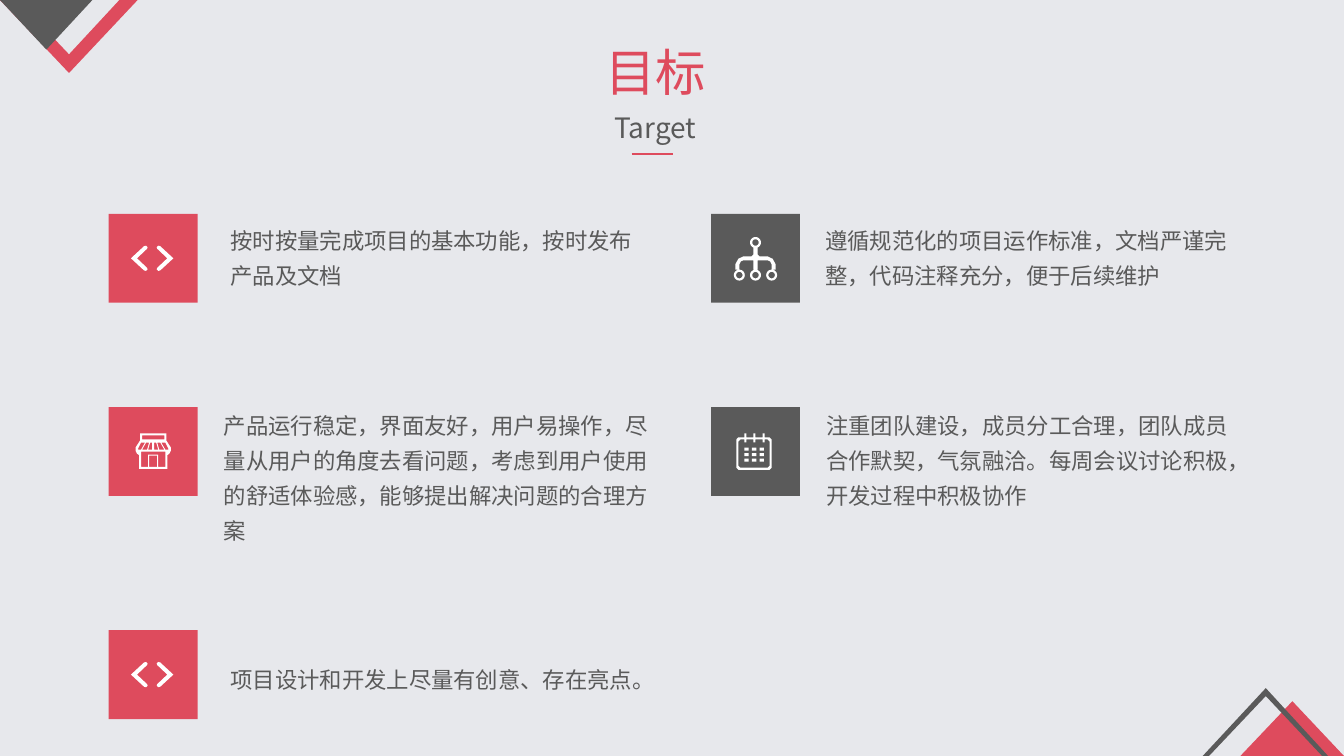
from math import cos, pi, sin

from lxml.etree import SubElement
from pptx import Presentation
from pptx.dml.color import RGBColor
from pptx.enum.shapes import MSO_CONNECTOR, MSO_SHAPE
from pptx.enum.text import MSO_ANCHOR, MSO_AUTO_SIZE, PP_ALIGN
from pptx.oxml.ns import qn
from pptx.util import Cm, Pt

FONT = "Noto Sans CJK SC"
COLORS = {"red": "DE4B5D", "gray": "5A5A5A", "white": "FFFFFF", "paper": "E7E8EC"}

TITLE, SUBTITLE = "目标", "Target"

# Tile left, top and colour, icon, then text left, top, width and height (cm)
GOALS = [
    ((2.74, 5.39), "red", "code", (5.56, 5.39, 11.07, 1.96),
     "按时按量完成项目的基本功能，按时发布产品及文档"),
    ((17.92, 5.39), "gray", "team", (20.55, 5.39, 10.87, 1.96),
     "遵循规范化的项目运作标准，文档严谨完整，代码注释充分，便于后续维护"),
    ((2.74, 10.26), "red", "shop", (5.39, 10.07, 11.23, 3.73),
     "产品运行稳定，界面友好，用户易操作，尽量从用户的角度去看问题，"
     "考虑到用户使用的舒适体验感，能够提出解决问题的合理方案"),
    ((17.92, 10.26), "gray", "calendar", (20.57, 10.07, 10.87, 2.84),
     "注重团队建设，成员分工合理，团队成员合作默契，气氛融洽。"
     "每周会议讨论积极，开发过程中积极协作"),
    ((2.74, 15.88), "red", "code", (5.56, 16.46, 11.07, 1.07),
     "项目设计和开发上尽量有创意、存在亮点。"),
]

# Corner outlines (cm)
CORNERS = [
    ("red", [(1.74, 1.84), (3.47, 0), (3.01, 0), (1.74, 1.37), (0.44, 0), (0, 0)]),
    ("gray", [(1.17, 1.25), (2.33, 0), (0, 0)]),
    ("red", [(32.57, 17.67), (31.26, 19.05), (33.87, 19.05)]),
    ("gray", [(33.47, 19.05), (33.32, 19.05), (31.9, 17.54), (30.47, 19.05),
              (30.31, 19.05), (31.9, 17.34)]),
]

# Icons are drawn on a tile of 88 by 88 units.
TILE = 2.24
UNIT = TILE / 88


def mirror(points, axis=44):
    return [(2 * axis - x, y) for x, y in reversed(points)]


def box(left, top, right, bottom):
    return [(left, top), (right, top), (right, bottom), (left, bottom)]


def circle(x, y, radius, steps=24):
    angles = [2 * pi * step / steps for step in range(steps)]
    return [(x + radius * cos(angle), y + radius * sin(angle)) for angle in angles]


def calendar_edge(left, top, right, bottom, tab_top, tab_bottom):
    """Frame edge whose top side steps out to one level at each of three tabs."""
    tabs = [point for x in (34, 43, 52)
            for point in [(x - 1, top), (x - 1, tab_top), (x + 1, tab_top), (x + 1, top)]]
    if tab_bottom:
        tabs = [(x, tab_bottom if y == tab_top else y) for x, y in tabs]
    return [(left, top + 2), (left + 2, top), *tabs, (right - 2, top), (right, top + 2),
            (right, bottom - 2), (right - 2, bottom), (left + 2, bottom), (left, bottom - 2)]


CHEVRON = [(35, 32), (22, 44), (35, 56), (37, 56.5), (38.5, 55), (38, 53.5),
           (28, 44), (38, 34.5), (38.5, 33), (37, 31.5)]
BRANCH = [(46, 33.5), (46, 40), (48, 42), (56, 42), (61, 44.5), (64, 50), (64, 55.3),
          (60, 55.3), (60, 50), (58.5, 47), (56, 46), (46, 46), (46, 55.3)]
ROOF = [(57, 26), (57, 33), (61.5, 40), (61.5, 43), (60, 46), (58, 47.5), (58, 61)]
SLATS = [[(29, 41), (32, 35), (36, 35), (32, 42), (29, 42)],
         [(33, 42), (37, 35), (40, 35), (38, 42)],
         [(39, 42), (41, 35), (43, 35), (43, 42)]]
DOORWAY = [(32, 44), (56, 44), (56, 59), (49, 59), (49, 47), (39, 47), (39, 59), (32, 59)]
MEMBERS = [(44, 28.3), (28, 60.6), (44, 60.6), (60, 60.6)]

# Contours of each icon; a contour inside another one is a hole.
ICONS = {
    "code": [CHEVRON, mirror(CHEVRON, 43)],
    "team": [BRANCH + mirror(BRANCH)]
            + [circle(x, y, radius) for x, y in MEMBERS for radius in (5.4, 3.2)],
    "shop": [ROOF + mirror(ROOF), box(33, 28, 55, 32), *SLATS, *map(mirror, SLATS),
             DOORWAY, box(40, 48, 48, 59)],
    "calendar": [calendar_edge(25, 30, 60, 62, 26, None),
                 calendar_edge(27, 32, 58, 60, 35, None)],
}
DAYS = [(33 + 7.5 * column, 40 + 5.5 * row) for row in range(3) for column in range(3)]
DAY_SIZE = (4.3, 3)


def color(name):
    return RGBColor.from_string(COLORS[name])


def paint(shape, fill):
    shape.shadow.inherit = False
    shape.fill.solid()
    shape.fill.fore_color.rgb = color(fill)
    shape.line.fill.background()


def add_outline(shapes, contours, fill):
    """Draw closed contours, given in cm, as one shape."""
    paths = [[(Cm(x), Cm(y)) for x, y in points] for points in contours]
    builder = shapes.build_freeform(*paths[0][0])
    builder.add_line_segments(paths[0][1:])
    for path_points in paths[1:]:
        builder.move_to(*path_points[0])
        builder.add_line_segments(path_points[1:])
    paint(builder.convert_to_shape(), fill)


def add_icon(slide, icon, left, top):
    shapes = slide.shapes
    if icon == "calendar":
        shapes = shapes.add_group_shape().shapes
    contours = [[(left + x * UNIT, top + y * UNIT) for x, y in points]
                for points in ICONS[icon]]
    add_outline(shapes, contours, "white")
    if icon == "calendar":
        for x, y in DAYS:
            width, height = (Cm(size * UNIT) for size in DAY_SIZE)
            day = shapes.add_shape(MSO_SHAPE.RECTANGLE, Cm(left + x * UNIT),
                                   Cm(top + y * UNIT), width, height)
            paint(day, "white")


def write(shape, text, size, color_name, align=PP_ALIGN.LEFT, spacing=1.0, wrap=True):
    frame = shape.text_frame
    frame.text = text
    frame.word_wrap = wrap
    frame.auto_size = MSO_AUTO_SIZE.NONE
    frame.vertical_anchor = MSO_ANCHOR.TOP
    paragraph = frame.paragraphs[0]
    paragraph.alignment = align
    paragraph.line_spacing = spacing
    paragraph.space_before = Pt(0)
    paragraph.font.size = Pt(size)
    paragraph.font.color.rgb = color(color_name)
    paragraph.font.name = FONT
    properties = paragraph._p.pPr.find(qn("a:defRPr"))
    SubElement(properties, qn("a:ea")).set("typeface", FONT)


def add_text(slide, place, *args, **options):
    write(slide.shapes.add_textbox(*map(Cm, place)), *args, **options)


def main():
    presentation = Presentation()
    presentation.slide_width, presentation.slide_height = Cm(33.87), Cm(19.05)
    slide = presentation.slides.add_slide(presentation.slide_layouts[5])
    slide.background.fill.solid()
    slide.background.fill.fore_color.rgb = color("paper")

    for color_name, points in CORNERS:
        add_outline(slide.shapes, [points], color_name)

    title = slide.shapes.title
    title.left, title.top, title.width, title.height = map(Cm, (14.99, 0.91, 3.07, 1.8))
    write(title, TITLE, 36, "red", PP_ALIGN.CENTER, wrap=False)
    add_text(slide, (12.07, 2.41, 8.89, 1.27), SUBTITLE, 20, "gray",
             PP_ALIGN.CENTER, spacing=1.3)
    rule = slide.shapes.add_connector(MSO_CONNECTOR.STRAIGHT, Cm(15.92), Cm(3.88),
                                      Cm(16.95), Cm(3.88))
    rule.line.color.rgb = color("red")
    rule.line.width = Pt(1.75)
    SubElement(rule._element.spPr, qn("a:effectLst"))

    for (left, top), color_name, icon, text_place, text in GOALS:
        tile = slide.shapes.add_shape(MSO_SHAPE.RECTANGLE, Cm(left), Cm(top),
                                      Cm(TILE), Cm(TILE))
        paint(tile, color_name)
        add_icon(slide, icon, left, top)
        add_text(slide, text_place, text, 16, "gray", spacing=1.3)

    presentation.save("out.pptx")


if __name__ == "__main__":
    main()
